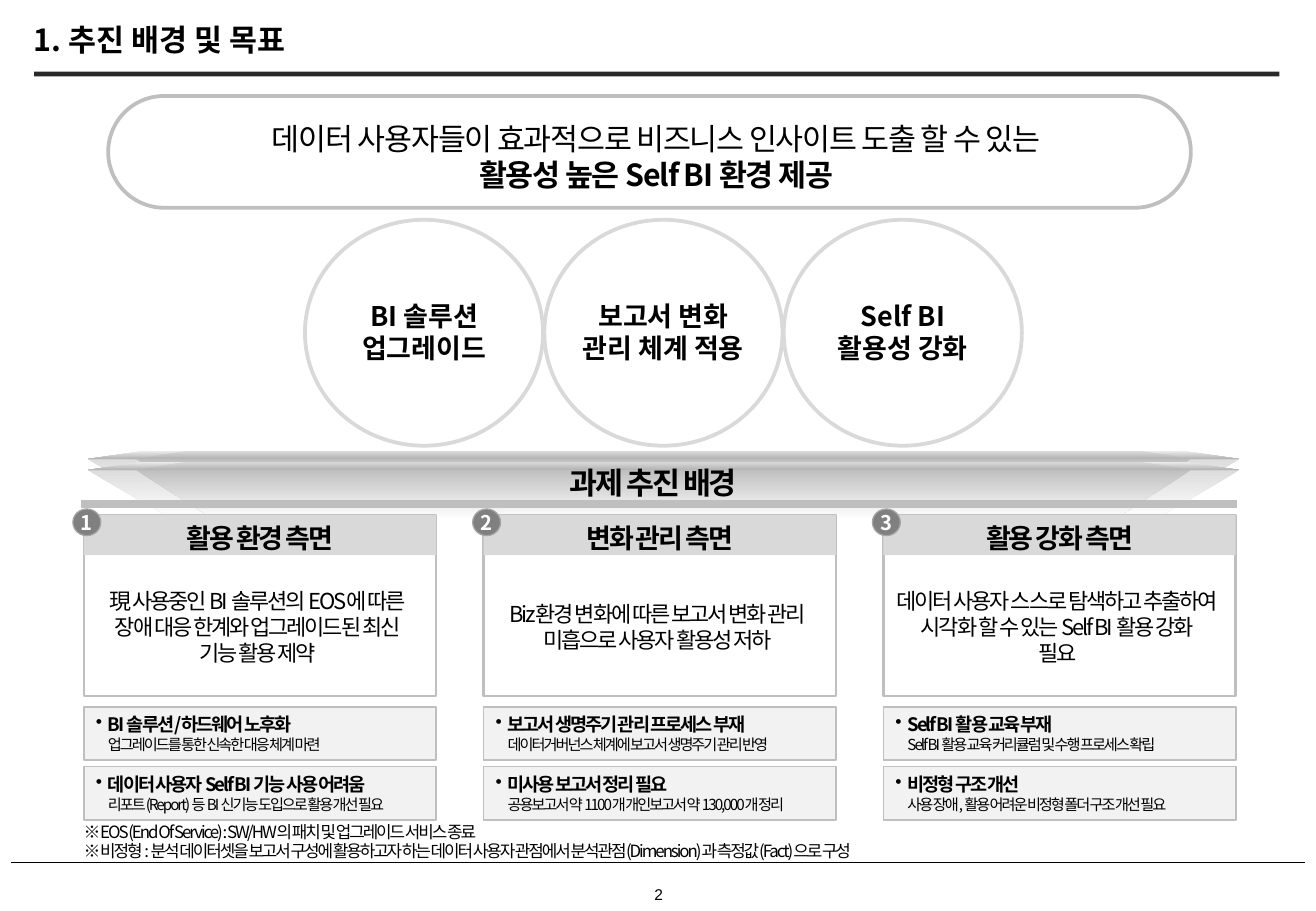
from lxml import etree
from pptx import Presentation
from pptx.dml.color import RGBColor
from pptx.enum.shapes import MSO_CONNECTOR, MSO_SHAPE
from pptx.enum.text import MSO_ANCHOR, PP_ALIGN
from pptx.oxml.ns import qn
from pptx.util import Inches, Pt

RECTANGLE, OVAL = MSO_SHAPE.RECTANGLE, MSO_SHAPE.OVAL
ROUNDED = MSO_SHAPE.ROUNDED_RECTANGLE
STRAIGHT = MSO_CONNECTOR.STRAIGHT
LEFT, CENTER = PP_ALIGN.LEFT, PP_ALIGN.CENTER
MIDDLE = MSO_ANCHOR.MIDDLE

THEME = {
    "font": "Noto Sans CJK KR", "number_font": "Arial",
    "black": "000000", "white": "FFFFFF", "rule": "292929",
    "frame": "BFBFBF", "header": "D9D9D9", "detail": "F2F2F2",
    "badge": "808080", "badge_line": "A6A6A6",
    "heading": 18, "label": 16, "body": 13, "badge_size": 12,
    "point": 11, "note": 10, "small": 9, "number": 9.2,
}

presentation = Presentation()
presentation.slide_width = Inches(10.83)
presentation.slide_height = Inches(7.5)
slide = presentation.slides.add_slide(presentation.slide_layouts[6])
shapes = slide.shapes


def add_box(kind, left, top, width, height, fill=None, line=None, weight=1):
    shape = shapes.add_shape(kind, Inches(left), Inches(top), Inches(width), Inches(height))
    shape.shadow.inherit = False
    if fill:
        shape.fill.solid()
        shape.fill.fore_color.rgb = RGBColor.from_string(THEME[fill])
    else:
        shape.fill.background()
    if line:
        shape.line.color.rgb = RGBColor.from_string(THEME[line])
        shape.line.width = Pt(weight)
    else:
        shape.line.fill.background()
    return shape


def add_text(place, lines, size, bold=False, spacing=0, align=CENTER, after=0, color="black",
             font="font", margins=(0.1, 0.05), wrap=True, shape=None, bullet=False):
    shape = shape or shapes.add_textbox(*[Inches(value) for value in place])
    frame = shape.text_frame
    frame.word_wrap = wrap
    frame.vertical_anchor = MIDDLE
    frame.margin_left = frame.margin_right = Inches(margins[0])
    frame.margin_top = frame.margin_bottom = Inches(margins[1])
    paragraph = frame.paragraphs[0]
    paragraph.alignment = align
    paragraph.space_after = Pt(after)
    properties = paragraph._p.get_or_add_pPr()
    if bullet:
        properties.set("marL", str(Inches(0.1)))
        properties.set("indent", str(-Inches(0.1)))
        etree.SubElement(properties, qn("a:buChar")).set("char", "•")
    paragraph.font.name = THEME[font]
    paragraph.font.size = Pt(THEME[size])
    paragraph.font.bold = bold
    paragraph.font.color.rgb = RGBColor.from_string(THEME[color])
    defaults = properties.find(qn("a:defRPr"))
    defaults.set("spc", str(round(spacing * 100)))
    etree.SubElement(defaults, qn("a:ea")).set("typeface", THEME[font])
    for index, line in enumerate(lines):
        if index:
            paragraph.add_line_break()
        run = paragraph.add_run()
        run.text = line
    return paragraph


add_box(RECTANGLE, 0.28, 0.59, 10.25, 0.04, fill="rule")
title = add_text((0.28, 0.21, 2.34, 0.27), ["1. 추진 배경 및 목표"], "heading", bold=True,
                 align=LEFT, margins=(0, 0), wrap=False)
title.line_spacing = 0.9
add_text((5.34, 7.28, 0.16, 0.16), ["2"], "number", font="number_font", margins=(0, 0), wrap=False)

goals = [
    ("BI 솔루션", "업그레이드"),
    ("보고서 변화", "관리 체계 적용"),
    ("Self BI", "활용성 강화"),
]
for index, goal in enumerate(goals):
    left = 2.51 + 1.97 * index
    add_box(OVAL, left, 1.81, 1.96, 1.86, line="header", weight=2.25)
    add_text((left, 2.41, 1.96, 0.64), goal, "label", bold=True, after=6)

banner_bands = [
    ([(10.2, 3.78), (9.5, 4.19), (1.43, 4.19), (0.72, 3.78)], "DDDDDD", "FFFFFF"),
    ([(0.72, 3.78), (1.2, 3.71), (9.72, 3.71), (10.2, 3.78)], "F0F0F0", "B2B2B2"),
    ([(9.8, 3.78), (9.16, 4.19), (1.77, 4.19), (1.12, 3.78)], "C0C0C0", "FFFFFF"),
    ([(1.12, 3.78), (1.56, 3.71), (9.36, 3.71), (9.8, 3.78)], "DDDDDD", "B2B2B2"),
]
for drop in (0, 0.09):
    for corners, *colors in banner_bands:
        points = [(Inches(x), Inches(y + drop)) for x, y in corners]
        builder = shapes.build_freeform(*points[0])
        builder.add_line_segments(points[1:], close=True)
        band = builder.convert_to_shape()
        band.shadow.inherit = False
        band.line.fill.background()
        band.fill.gradient()
        band.fill.gradient_angle = 270
        for stop, color in zip(band.fill.gradient_stops, colors):
            stop.color.rgb = RGBColor.from_string(color)

for left, right, y, color, weight in [(0.67, 10.18, 4.15, "frame", 4.5), (0.09, 10.74, 7.1, "black", 1)]:
    connector = shapes.add_connector(STRAIGHT, Inches(left), Inches(y), Inches(right), Inches(y))
    connector.line.color.rgb = RGBColor.from_string(THEME[color])
    connector.line.width = Pt(weight)
    etree.SubElement(connector._element.spPr, qn("a:effectLst"))
add_text((3.77, 3.81, 3.21, 0.33), ["과제 추진 배경"], "heading", bold=True, spacing=-1.2)

aspects = [
    ("활용 환경 측면",
     ["現 사용중인 BI 솔루션의 EOS에 따른", "장애 대응 한계와 업그레이드된 최신", "기능 활용 제약"],
     [("BI 솔루션/하드웨어 노후화", "업그레이드를 통한 신속한 대응 체계 마련"),
      ("데이터 사용자 Self BI 기능 사용 어려움", "리포트(Report) 등 BI 신기능 도입으로 활용 개선 필요")]),
    ("변화 관리 측면",
     ["Biz환경 변화에 따른 보고서 변화 관리", "미흡으로 사용자 활용성 저하"],
     [("보고서 생명주기 관리 프로세스 부재", "데이터거버넌스 체계에 보고서 생명주기 관리 반영"),
      ("미사용 보고서 정리 필요", "공용보고서 약 1100개 개인보고서 약 130,000개 정리")]),
    ("활용 강화 측면",
     ["데이터 사용자 스스로 탐색하고 추출하여", "시각화 할 수 있는 Self BI 활용 강화", "필요"],
     [("Self BI 활용 교육 부재", "Self BI 활용 교육 커리큘럼 및 수행 프로세스 확립"),
      ("비정형 구조 개선", "사용 장애, 활용 어려운 비정형 폴더 구조 개선 필요")]),
]
for index, (heading, summary, details) in enumerate(aspects):
    left = 0.69 + 3.29 * index
    add_box(RECTANGLE, left, 4.24, 2.9, 1.49, line="frame", weight=1.5)
    add_box(RECTANGLE, left, 4.24, 2.9, 0.33, fill="header")
    add_text((left, 4.24, 2.9, 0.37), [heading], "label", bold=True, spacing=-1.2, after=3)
    add_text((left - 0.01, 4.78, 2.88, 0.76), summary, "body", spacing=-1.2, after=3)
    badge = add_box(OVAL, left - 0.09, 4.19, 0.23, 0.22, fill="badge", line="badge_line", weight=0.75)
    add_text(None, [str(index + 1)], "badge_size", bold=True, spacing=-1.2, color="white",
             margins=(0, 0), wrap=False, shape=badge)
    for row, detail in enumerate(details):
        card = add_box(RECTANGLE, left, 5.82 + 0.49 * row, 2.9, 0.44, fill="detail", line="frame")
        paragraph = add_text(None, detail, "point", spacing=-1.2, align=LEFT, after=3,
                             shape=card, bullet=True)
        paragraph.runs[0].font.bold = True
        paragraph.runs[1].font.size = Pt(THEME["small"])

add_box(ROUNDED, 0.89, 0.79, 8.91, 0.92, line="frame", weight=2.25).adjustments[0] = 0.5
mission = add_text((1.17, 0.93, 8.46, 0.71),
                   ["데이터 사용자들이 효과적으로 비즈니스 인사이트 도출 할 수 있는",
                    "활용성 높은 Self BI 환경 제공"], "heading", spacing=-0.7, after=3)
mission.runs[1].font.bold = True

notes = [
    "※ EOS (End Of Service) : SW/HW의 패치 및 업그레이드 서비스 종료",
    "※ 비정형 : 분석 데이터셋을 보고서 구성에 활용하고자 하는 데이터 사용자 관점에서 "
    "분석관점(Dimension)과 측정값(Fact)으로 구성",
]
for index, note in enumerate(notes):
    add_text((0.59, 6.71 + 0.16 * index, 7.94, 0.27), [note], "note", spacing=-1.2, align=LEFT, after=3)

presentation.save("out.pptx")
